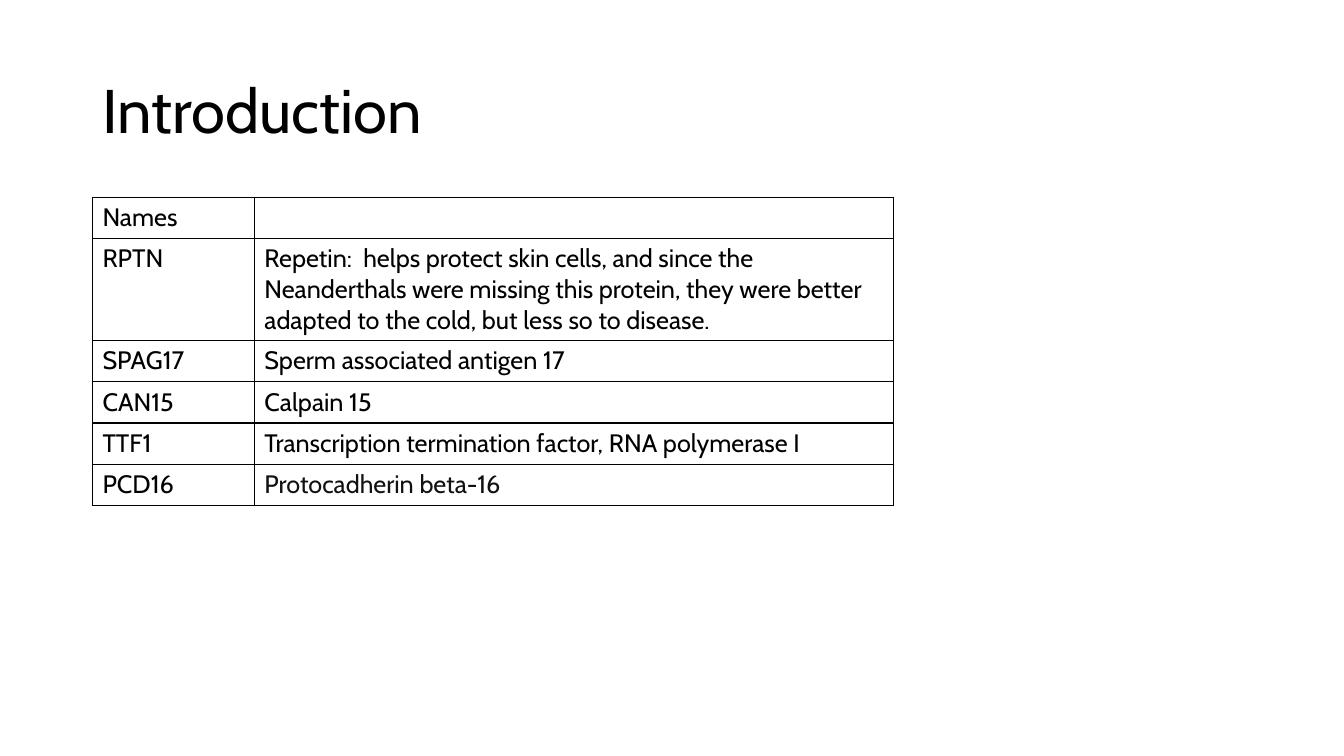
from lxml.etree import SubElement
from pptx import Presentation
from pptx.dml.color import RGBColor
from pptx.enum.text import MSO_ANCHOR as Anchor
from pptx.oxml.ns import qn
from pptx.util import Cm, Pt

TITLE = "Introduction"
PROTEINS = [
    ("Names", ""),
    ("RPTN", "Repetin:  helps protect skin cells, and since the Neanderthals were "
             "missing this protein, they were better adapted to the cold, "
             "but less so to disease."),
    ("SPAG17", "Sperm associated antigen 17"),
    ("CAN15", "Calpain 15"),
    ("TTF1", "Transcription termination factor, RNA polymerase I"),
    ("PCD16", "Protocadherin beta-16"),
]
TEXT_COLORS = {"Protocadherin beta-16": "111111"}
FONT, BLACK = "Cabin", "000000"
LEFT = 2.33
COLUMN_WIDTHS = (4.08, 16.1)
ROW_HEIGHT, TALL_ROW_HEIGHT = 1.04, 2.57


def color(value):
    return RGBColor.from_string(value)


def write(frame, text, size=18, fill=BLACK, line_spacing=None):
    para = frame.paragraphs[0]
    para.line_spacing = line_spacing
    para.font.size = Pt(size)
    if text:
        span = para.add_run()
        span.text = text
        span.font.name = FONT
        span.font.size = Pt(size)
        span.font.color.rgb = color(fill)


def add_borders(cell, width=1, line_color=BLACK):
    """Draw all four sides; call before filling, as lines come first in the XML."""
    properties = cell._tc.get_or_add_tcPr()
    for side in ("lnL", "lnR", "lnT", "lnB"):
        line = SubElement(properties, qn(f"a:{side}"), w=str(Pt(width)))
        solid = SubElement(line, qn("a:solidFill"))
        SubElement(solid, qn("a:srgbClr"), val=line_color)


def add_title(page):
    box = page.shapes.add_textbox(Cm(LEFT), Cm(1.01), Cm(29.21), Cm(3.68))
    frame = box.text_frame
    frame.word_wrap = True
    frame.vertical_anchor = Anchor.MIDDLE
    write(frame, TITLE, size=44, line_spacing=0.9)


def add_protein_table(page):
    heights = [TALL_ROW_HEIGHT if name == "RPTN" else ROW_HEIGHT
               for name, _ in PROTEINS]
    table = page.shapes.add_table(
        len(PROTEINS), len(COLUMN_WIDTHS), Cm(LEFT), Cm(4.97),
        Cm(sum(COLUMN_WIDTHS)), Cm(sum(heights))).table
    table.first_row = table.horz_banding = False
    for column, width in zip(table.columns, COLUMN_WIDTHS):
        column.width = Cm(width)
    for row, height, texts in zip(table.rows, heights, PROTEINS):
        row.height = Cm(height)
        for cell, text in zip(row.cells, texts):
            add_borders(cell)
            cell.fill.background()
            write(cell.text_frame, text, fill=TEXT_COLORS.get(text, BLACK))


def main():
    deck = Presentation()
    deck.slide_width, deck.slide_height = Cm(33.87), Cm(19.05)
    page = deck.slides.add_slide(deck.slide_layouts[6])
    add_title(page)
    add_protein_table(page)
    deck.save("out.pptx")


if __name__ == "__main__":
    main()
